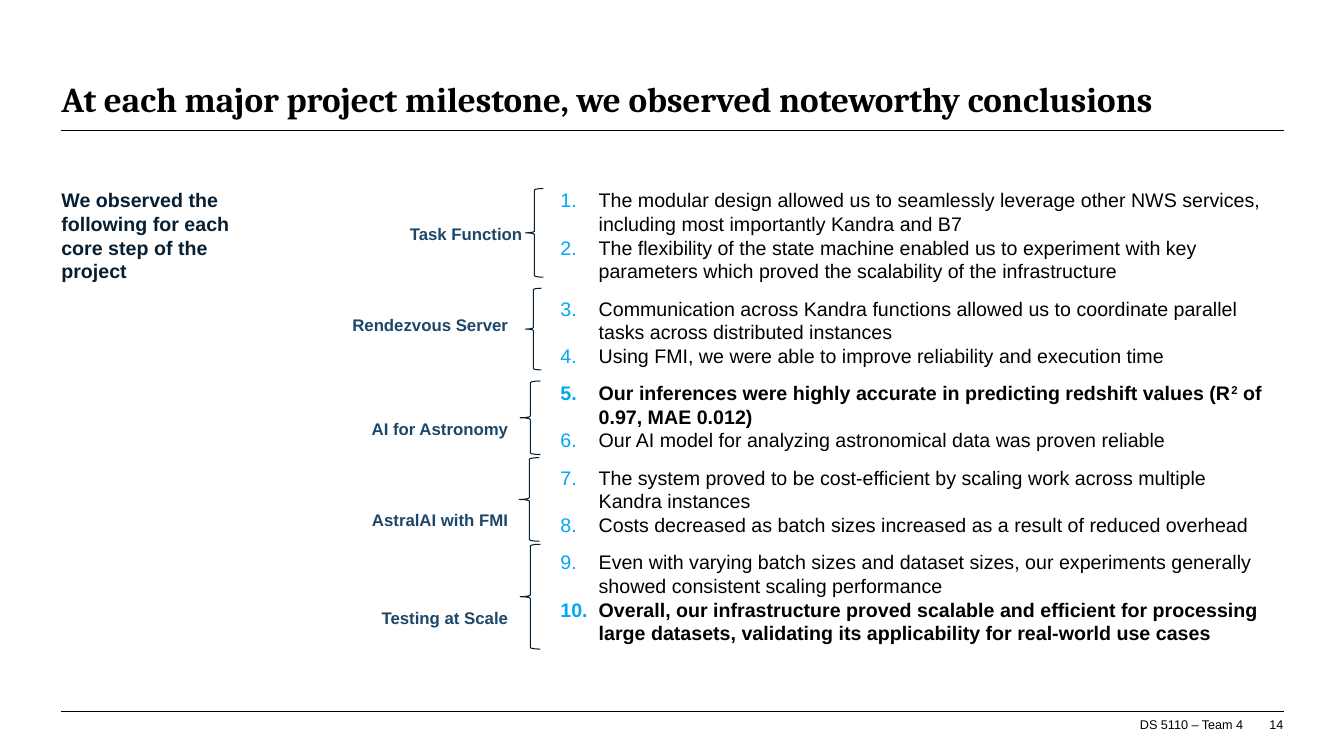
from dataclasses import dataclass

from lxml import etree
from pptx import Presentation
from pptx.dml.color import RGBColor
from pptx.enum.shapes import MSO_CONNECTOR, MSO_SHAPE
from pptx.enum.text import MSO_ANCHOR, MSO_AUTO_SIZE, PP_ALIGN
from pptx.oxml.ns import qn
from pptx.util import Inches, Pt

LEFT, RIGHT = PP_ALIGN.LEFT, PP_ALIGN.RIGHT
TOP, BOTTOM = MSO_ANCHOR.TOP, MSO_ANCHOR.BOTTOM
NO_FIT = MSO_AUTO_SIZE.NONE
STRAIGHT = MSO_CONNECTOR.STRAIGHT
LEFT_BRACE = MSO_SHAPE.LEFT_BRACE


@dataclass(frozen=True)
class Theme:
    heading_font: str = "Cambria"
    body_font: str = "Arial"
    black: str = "000000"
    navy: str = "061F32"
    blue: str = "1D4769"
    number: str = "00A7F2"
    title_size: int = 25
    body_size: int = 14
    label_size: int = 12
    footer_size: int = 9
    rule_width: float = 0.5
    brace_width: float = 0.75


THEME = Theme()
MARGIN_LEFT, MARGIN_RIGHT = 0.61, 12.73
PADDING = (0.1, 0.05, 0.1, 0.05)
NO_PADDING = (0, 0, 0, 0)
LABEL_LEFT, LABEL_HEIGHT = 2.46, 0.3
NUMBER_INDENT = 0.38
GROUP_GAP = 10

# label, label top, label width, brace (left, top, width, height)
MILESTONES = [
    ("Task Function", 2.17, 2.82, (5.21, 1.87, 0.18, 0.88)),
    ("Rendezvous Server", 3.07, 2.68, (5.21, 2.86, 0.16, 0.81)),
    ("AI for Astronomy", 4.11, 2.68, (5.16, 3.78, 0.2, 0.73)),
    ("AstralAI with FMI", 5.01, 2.68, (5.15, 4.54, 0.2, 0.83)),
    ("Testing at Scale", 5.98, 2.68, (5.16, 5.4, 0.2, 1.04)),
]

# one list per milestone; each conclusion is (bold, runs), a run is (text, superscript)
CONCLUSIONS = [
    [
        (False, [("The modular design allowed us to seamlessly leverage other NWS services, "
                  "including most importantly Kandra and B7", False)]),
        (False, [("The flexibility of the state machine enabled us to experiment with key "
                  "parameters which proved the scalability of the infrastructure", False)]),
    ],
    [
        (False, [("Communication across Kandra functions allowed us to coordinate parallel "
                  "tasks across distributed instances", False)]),
        (False, [("Using FMI, we were able to improve reliability and execution time", False)]),
    ],
    [
        (True, [("Our inferences were highly accurate in predicting redshift values (R", False),
                ("2", True),
                (" of 0.97, MAE 0.012)", False)]),
        (False, [("Our AI model for analyzing astronomical data was proven reliable", False)]),
    ],
    [
        (False, [("The system proved to be cost-efficient by scaling work across multiple "
                  "Kandra instances", False)]),
        (False, [("Costs decreased as batch sizes increased as a result of reduced overhead",
                  False)]),
    ],
    [
        (False, [("Even with varying batch sizes and dataset sizes, our experiments generally "
                  "showed consistent scaling performance", False)]),
        (True, [("Overall, our infrastructure proved scalable and efficient for processing "
                 "large datasets, validating its applicability for real-world use cases",
                 False)]),
    ],
]


def place(shape, box):
    shape.left, shape.top, shape.width, shape.height = (Inches(v) for v in box)


def set_frame(tf, padding, anchor, wrap=True):
    tf.word_wrap = wrap
    tf.auto_size = NO_FIT
    tf.vertical_anchor = anchor
    tf.margin_left, tf.margin_top, tf.margin_right, tf.margin_bottom = (
        Inches(v) for v in padding)


def add_run(p, text, size, color, bold=False, font=THEME.body_font):
    r = p.add_run()
    r.text = text
    r.font.name = font
    r.font.size = Pt(size)
    r.font.bold = bold
    r.font.color.rgb = RGBColor.from_string(color)
    return r


def add_text(s, box, text, size, color, bold=False, align=LEFT,
             padding=PADDING, anchor=TOP, wrap=True):
    tf = s.shapes.add_textbox(*(Inches(v) for v in box)).text_frame
    set_frame(tf, padding, anchor, wrap)
    p = tf.paragraphs[0]
    p.alignment = align
    add_run(p, text, size, color, bold)


def set_title(s, text):
    sp = s.shapes.title
    place(sp, (MARGIN_LEFT, 0.39, MARGIN_RIGHT - MARGIN_LEFT, 0.8))
    set_frame(sp.text_frame, NO_PADDING, BOTTOM)
    p = sp.text_frame.paragraphs[0]
    p.alignment = LEFT
    add_run(p, text, THEME.title_size, THEME.black, True, THEME.heading_font)


def add_rule(s, y):
    """Draw a horizontal line from margin to margin."""
    line = s.shapes.add_connector(
        STRAIGHT, Inches(MARGIN_LEFT), Inches(y), Inches(MARGIN_RIGHT), Inches(y))
    line.line.color.rgb = RGBColor.from_string(THEME.black)
    line.line.width = Pt(THEME.rule_width)
    etree.SubElement(line._element.spPr, qn("a:effectLst"))


def add_brace(s, box):
    sp = s.shapes.add_shape(LEFT_BRACE, *(Inches(v) for v in box))
    sp.shadow.inherit = False
    sp.fill.background()
    sp.line.color.rgb = RGBColor.from_string(THEME.navy)
    sp.line.width = Pt(THEME.brace_width)


def number_paragraph(p):
    """Give the paragraph a coloured automatic number and a hanging indent."""
    pPr = p._p.get_or_add_pPr()
    pPr.set("marL", str(Inches(NUMBER_INDENT)))
    pPr.set("indent", str(-Inches(NUMBER_INDENT)))
    color = etree.SubElement(pPr, qn("a:buClr"))
    etree.SubElement(color, qn("a:srgbClr"), val=THEME.number)
    etree.SubElement(pPr, qn("a:buFont"), typeface=THEME.body_font)
    etree.SubElement(pPr, qn("a:buAutoNum"), type="arabicPeriod")


def add_conclusions(s, box, groups):
    tf = s.shapes.add_textbox(*(Inches(v) for v in box)).text_frame
    set_frame(tf, PADDING, TOP)
    for g, group in enumerate(groups):
        for i, (bold, runs) in enumerate(group):
            first = g == 0 and i == 0
            p = tf.paragraphs[0] if first else tf.add_paragraph()
            p.alignment = LEFT
            p.space_before = Pt(GROUP_GAP if g and i == 0 else 0)
            number_paragraph(p)
            for text, superscript in runs:
                r = add_run(p, text, THEME.body_size, THEME.black, bold)
                if superscript:
                    r._r.get_or_add_rPr().set("baseline", "30000")


def add_footer(s, box, text, wrap=True):
    add_text(s, box, text, THEME.footer_size, THEME.black, align=RIGHT,
             padding=NO_PADDING, anchor=BOTTOM, wrap=wrap)


def main():
    prs = Presentation()
    prs.slide_width, prs.slide_height = Inches(13.33), Inches(7.5)
    s = prs.slides.add_slide(prs.slide_layouts[5])

    set_title(s, "At each major project milestone, we observed noteworthy conclusions")
    for y in (1.29, 7.06):
        add_rule(s, y)
    add_text(s, (0.51, 1.82, 1.98, 1.04),
             "We observed the following for each core step of the project",
             THEME.body_size, THEME.navy, bold=True)
    for label, top, width, brace in MILESTONES:
        add_text(s, (LABEL_LEFT, top, width, LABEL_HEIGHT), label,
                 THEME.label_size, THEME.blue, bold=True, align=RIGHT)
        add_brace(s, brace)
    add_conclusions(s, (5.46, 1.82, 7.27, 4.86), CONCLUSIONS)
    add_footer(s, (11.27, 7.11, 1.06, 0.15), "DS 5110 – Team 4", wrap=False)
    add_footer(s, (12.37, 7.11, 0.36, 0.15), "14")

    prs.save("out.pptx")


if __name__ == "__main__":
    main()
